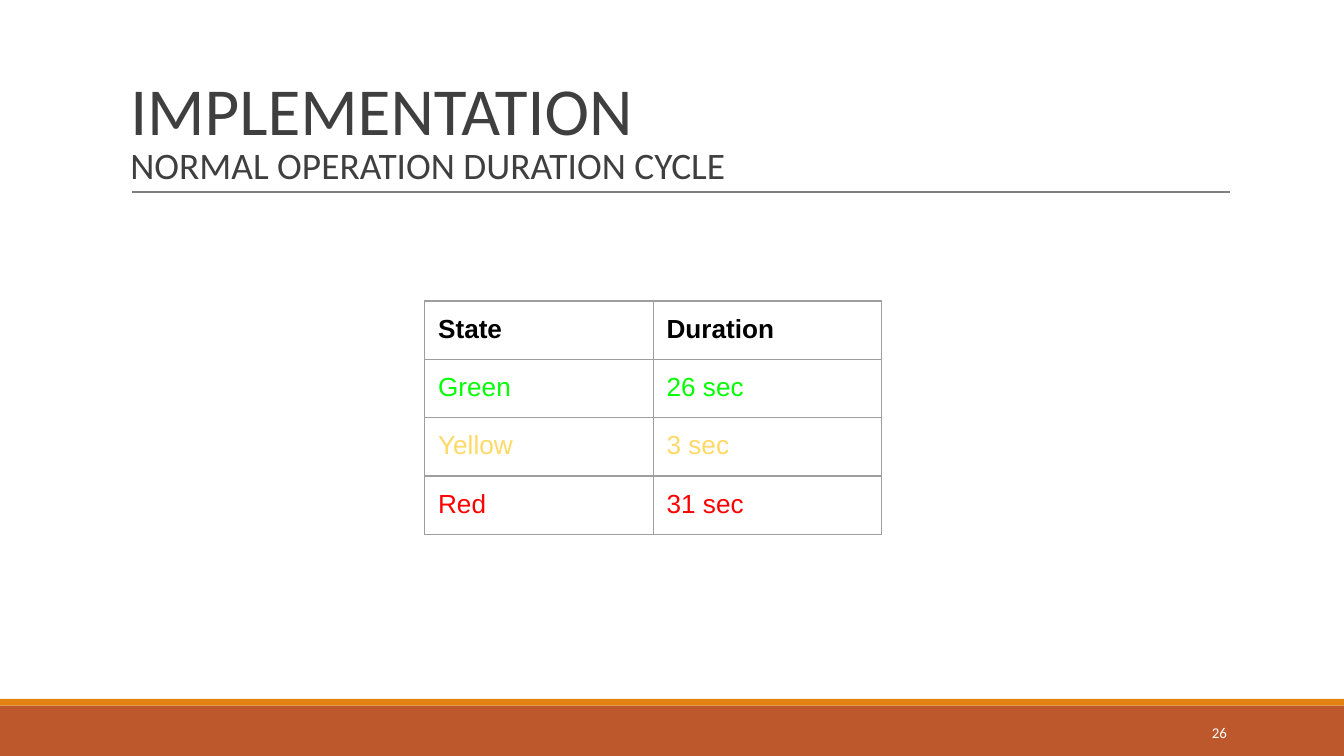
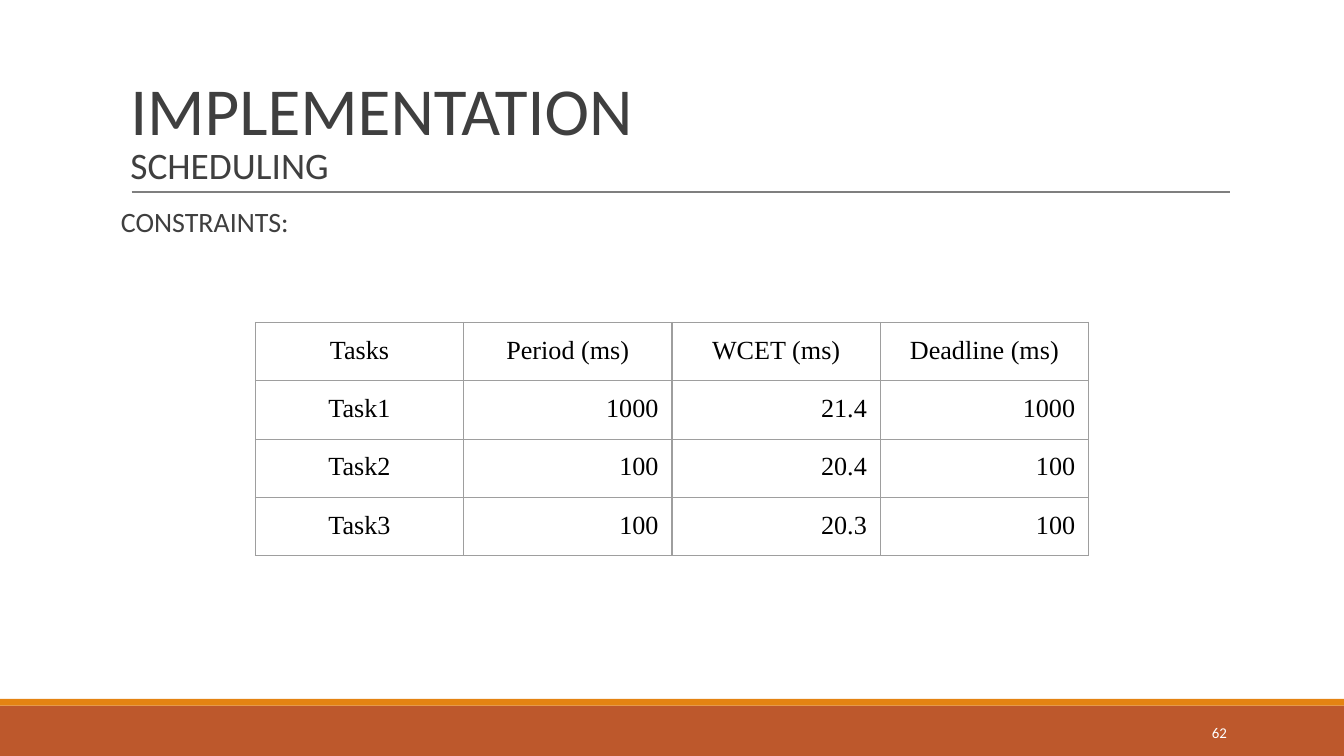
import copy
from dataclasses import dataclass

import lxml.etree
import pptx
import pptx.dml.color
import pptx.enum.shapes
import pptx.enum.text
import pptx.oxml.ns
import pptx.util

Inches = pptx.util.Inches
ALIGN = pptx.enum.text.PP_ALIGN
ANCHOR = pptx.enum.text.MSO_ANCHOR

RUST, ORANGE, RULE, INK = "BD582C", "E48312", "7F7F7F", "3F3F3F"
WHITE, BLACK, GRID = "FFFFFF", "000000", "9E9E9E"
GREEN, YELLOW, RED = "00FF00", "FFD966", "FF0000"
SLIDE_WIDTH = Inches(10)
SLIDE_HEIGHT = SLIDE_WIDTH * 9 // 16
ROW_HEIGHT = 0.42


@dataclass(frozen=True)
class Band:
    top: float
    height: float
    color: str


@dataclass(frozen=True)
class Line:
    text: str
    size: float
    color: str = INK
    font: str = "Calibri"
    bold: bool = False
    align: ALIGN = ALIGN.LEFT
    spacing: float = 1.0
    before: float = 0


@dataclass(frozen=True)
class TextBlock:
    left: float
    top: float
    width: float
    height: float
    anchor: ANCHOR
    side_margin: float = 0.07


@dataclass(frozen=True)
class Grid:
    left: float
    top: float
    column_width: float
    rows: list[list[Line]]


BANDS = [Band(5.25, 0.38, RUST), Band(5.2, 0.05, ORANGE)]
TITLE = TextBlock(0.9, 0.24, 8.25, 1.19, ANCHOR.BOTTOM)
BODY = TextBlock(0.9, 1.51, 8.25, 3.3, ANCHOR.TOP, side_margin=0)
PAGE_NUMBER = TextBlock(8.12, 5.3, 1.08, 0.3, ANCHOR.MIDDLE)


def rgb(color: str) -> pptx.dml.color.RGBColor:
    return pptx.dml.color.RGBColor.from_string(color)


def apply(target, values: dict) -> None:
    for name, value in values.items():
        setattr(target, name, value)


def finish_paragraph(para, span, font: str) -> None:
    properties = span._r.get_or_add_rPr()
    for script in ("ea", "cs"):
        lxml.etree.SubElement(
            properties, pptx.oxml.ns.qn(f"a:{script}"), typeface=font)
    ending = lxml.etree.SubElement(
        para._p, pptx.oxml.ns.qn("a:endParaRPr"), dict(properties.attrib))
    ending.extend(copy.deepcopy(child) for child in properties)


def write(frame, lines: list[Line]) -> None:
    for index, line in enumerate(lines):
        para = frame.add_paragraph() if index else frame.paragraphs[0]
        apply(para, {
            "alignment": line.align,
            "line_spacing": line.spacing,
            "space_before": pptx.util.Pt(line.before),
        })
        span = para.add_run()
        span.text = line.text
        apply(span.font, {
            "name": line.font,
            "size": pptx.util.Pt(line.size),
            "bold": line.bold,
        })
        span.font.color.rgb = rgb(line.color)
        finish_paragraph(para, span, line.font)


def draw_text(page, block: TextBlock, lines: list[Line]) -> None:
    box = page.shapes.add_textbox(
        Inches(block.left), Inches(block.top),
        Inches(block.width), Inches(block.height))
    apply(box.text_frame, {
        "word_wrap": True,
        "vertical_anchor": block.anchor,
        "margin_left": Inches(block.side_margin),
        "margin_right": Inches(block.side_margin),
        "margin_top": Inches(0.04),
        "margin_bottom": Inches(0.04),
    })
    write(box.text_frame, lines)


def draw_band(page, band: Band) -> None:
    box = page.shapes.add_shape(
        pptx.enum.shapes.MSO_SHAPE.RECTANGLE,
        0, Inches(band.top), SLIDE_WIDTH, Inches(band.height))
    box.shadow.inherit = False
    box.fill.solid()
    box.fill.fore_color.rgb = rgb(band.color)
    box.line.fill.background()


def draw_rule(page) -> None:
    rule = page.shapes.add_connector(
        pptx.enum.shapes.MSO_CONNECTOR.STRAIGHT,
        Inches(0.98), Inches(1.43), Inches(9.15), Inches(1.43))
    rule.line.color.rgb = rgb(RULE)
    rule.line.width = pptx.util.Pt(0.75)
    properties = rule._element.spPr
    lxml.etree.SubElement(properties, pptx.oxml.ns.qn("a:effectLst"))


def draw_borders(cell) -> None:
    properties = cell._tc.get_or_add_tcPr()
    for position, side in enumerate(("lnL", "lnR", "lnT", "lnB")):
        border = lxml.etree.Element(
            pptx.oxml.ns.qn(f"a:{side}"), w=str(pptx.util.Pt(0.75)))
        fill = lxml.etree.SubElement(border, pptx.oxml.ns.qn("a:solidFill"))
        lxml.etree.SubElement(fill, pptx.oxml.ns.qn("a:srgbClr"), val=GRID)
        properties.insert(position, border)


def draw_grid(page, grid: Grid) -> None:
    row_count, column_count = len(grid.rows), len(grid.rows[0])
    table = page.shapes.add_table(
        row_count, column_count, Inches(grid.left), Inches(grid.top),
        Inches(grid.column_width * column_count),
        Inches(ROW_HEIGHT * row_count)).table
    apply(table, {"first_row": False, "horz_banding": False})
    for column in table.columns:
        column.width = Inches(grid.column_width)
    for row, lines in zip(table.rows, grid.rows):
        row.height = Inches(ROW_HEIGHT)
        for cell, line in zip(row.cells, lines):
            for side in ("left", "right", "top", "bottom"):
                setattr(cell, f"margin_{side}", Inches(0.1))
            cell.fill.background()
            draw_borders(cell)
            write(cell.text_frame, [line])


def add_page(deck, subtitle: str, number: int):
    page = deck.slides.add_slide(deck.slide_layouts[6])
    page.background.fill.solid()
    page.background.fill.fore_color.rgb = rgb(WHITE)
    for band in BANDS:
        draw_band(page, band)
    draw_rule(page)
    draw_text(page, TITLE, [
        Line("IMPLEMENTATION", 36, spacing=0.85),
        Line(subtitle, 20, spacing=0.85),
    ])
    draw_text(page, PAGE_NUMBER,
              [Line(str(number), 8, WHITE, align=ALIGN.RIGHT)])
    return page


def duration_rows() -> list[list[Line]]:
    states = [
        ("State", "Duration", BLACK),
        ("Green", "26 sec", GREEN),
        ("Yellow", "3 sec", YELLOW),
        ("Red", "31 sec", RED),
    ]
    return [
        [Line(text, 14, color, "Arial", bold=index == 0)
         for text in (state, duration)]
        for index, (state, duration, color) in enumerate(states)
    ]


def task_rows() -> list[list[Line]]:
    tasks = [
        ("Tasks", "Period (ms)", "WCET (ms)", "Deadline (ms)"),
        ("Task1", "1000", "21.4", "1000"),
        ("Task2", "100", "20.4", "100"),
        ("Task3", "100", "20.3", "100"),
    ]
    return [
        [Line(text, 14, BLACK, "Times New Roman",
              align=ALIGN.RIGHT if row and column else ALIGN.CENTER)
         for column, text in enumerate(task)]
        for row, task in enumerate(tasks)
    ]


def main() -> None:
    deck = pptx.Presentation()
    apply(deck, {"slide_width": SLIDE_WIDTH, "slide_height": SLIDE_HEIGHT})

    page = add_page(deck, "NORMAL OPERATION DURATION CYCLE", 26)
    draw_grid(page, Grid(3.16, 2.24, 1.7, duration_rows()))

    page = add_page(deck, "SCHEDULING", 62)
    draw_text(page, BODY, [Line("CONSTRAINTS:", 15, spacing=0.9, before=9)])
    draw_grid(page, Grid(1.9, 2.4, 1.55, task_rows()))

    deck.save("out.pptx")


if __name__ == "__main__":
    main()
